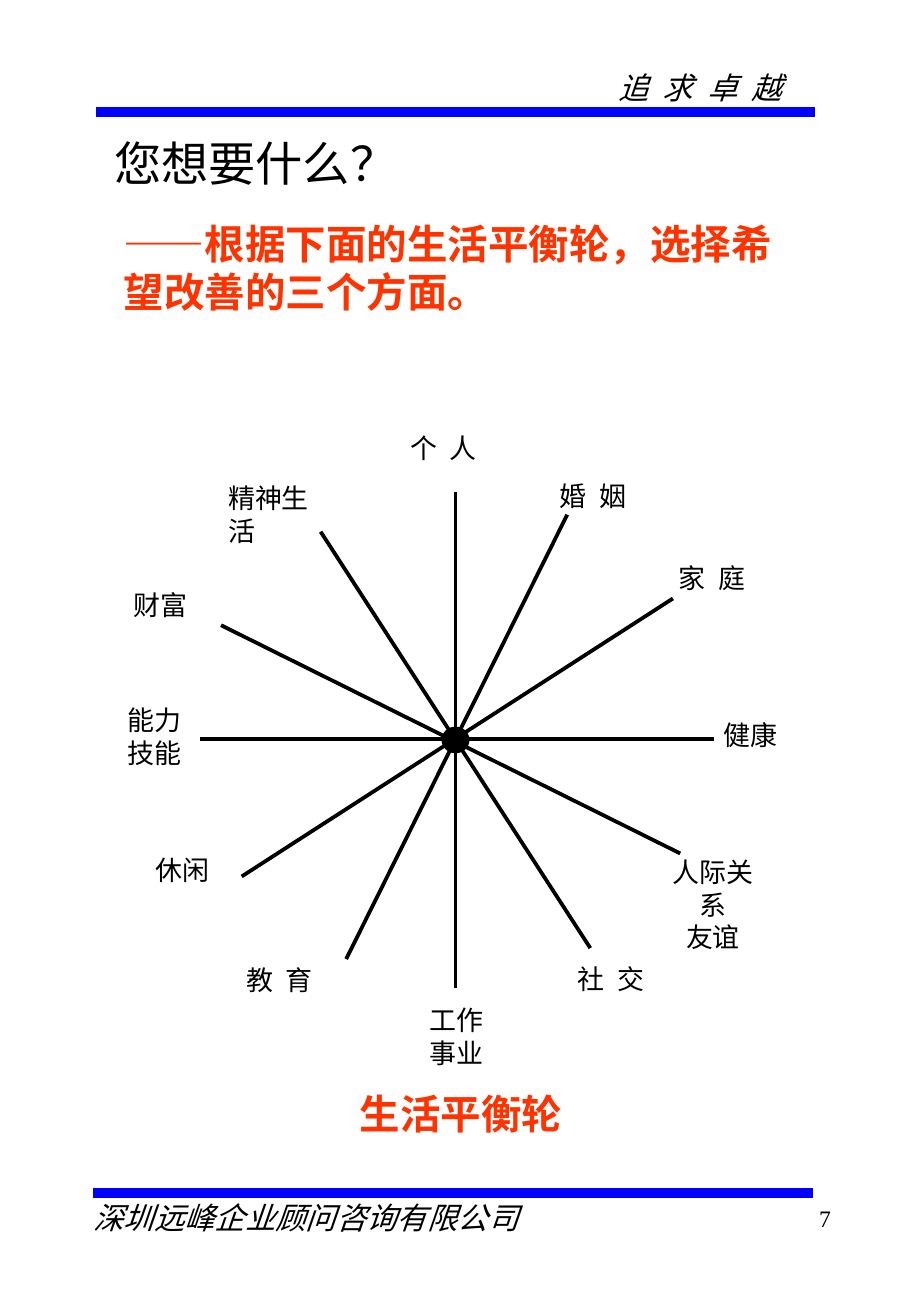
import pptx
import pptx.util
import pptx.dml.color
import pptx.enum.shapes
import pptx.enum.text
import pptx.oxml
import pptx.oxml.ns

PX = 9144  # one px is a hundredth of an inch
COLORS = {"ink": "000000", "bar": "0000FF", "key": "FF3300", "shade": "969696"}
SANS, SERIF = "Noto Sans CJK SC", "Times New Roman"
LEFT = pptx.enum.text.PP_ALIGN.LEFT
MID = pptx.enum.text.PP_ALIGN.CENTER
RIGHT = pptx.enum.text.PP_ALIGN.RIGHT
FIT = pptx.enum.text.MSO_AUTO_SIZE

SPOKES = [
    (375, 405, 375, 814), (165, 609, 588, 609), (264, 438, 486, 781),
    (182, 515, 560, 703), (199, 722, 554, 493), (285, 790, 467, 424),
]
LABELS = [  # text, left, top, width; clockwise from the top
    ("个 人", 328, 351, 86), ("婚 姻", 451, 390, 97),
    ("家 庭", 549, 458, 86), ("健康", 586, 587, 64),
    ("人际关系\n友谊", 533, 700, 108), ("社 交", 466, 788, 86),
    ("工作\n事业", 344, 822, 64), ("教 育", 193, 789, 86),
    ("休闲", 118, 698, 64), ("能力\n技能", 95, 575, 64),
    ("财富", 100, 480, 64), ("精神生活", 178, 392, 108),
]


def rgb(name):
    return pptx.dml.color.RGBColor.from_string(COLORS[name])


def node(tag, inner="", attrs=""):
    space = pptx.oxml.ns.nsdecls("a")
    return pptx.oxml.parse_xml(f"<a:{tag} {space} {attrs}>{inner}</a:{tag}>")


class Page:
    def __init__(self, wide, high):
        self.deck = pptx.Presentation()
        self.deck.slide_width = wide * PX
        self.deck.slide_height = high * PX
        self.slide = self.deck.slides.add_slide(self.deck.slide_layouts[1])
        self.shapes = self.slide.shapes

    def place(self, shape, box):
        shape.left, shape.top, shape.width, shape.height = [n * PX for n in box]

    def style(self, shape, text, size, face=SANS, color="ink", align=LEFT,
              wrap=False, bold=False, slant=False, gap=0, fit=FIT.SHAPE_TO_FIT_TEXT):
        """Fill a shape with styled text; gap is tracking in points."""
        frame = shape.text_frame
        frame.text = text
        frame.word_wrap = wrap
        frame.auto_size = fit
        frame.vertical_anchor = pptx.enum.text.MSO_ANCHOR.TOP
        for para in frame.paragraphs:
            para.alignment = align
            para.space_before = pptx.util.Pt(0)
            for run in para.runs:
                font = run.font
                font.size = pptx.util.Pt(size)
                font.bold, font.italic = bold, slant
                font.color.rgb = rgb(color)
                font.name = face
                props = run._r.get_or_add_rPr()
                latin = props.find(pptx.oxml.ns.qn("a:latin"))
                latin.addnext(node("ea", attrs=f'typeface="{SANS}"'))
                if gap:
                    props.set("spc", str(round(gap * 100)))

    def text(self, text, box, size, **style):
        shape = self.shapes.add_textbox(*[n * PX for n in box])
        self.style(shape, text, size, **style)

    def title(self, text, box, size):
        shape = self.shapes.title
        self.place(shape, box)
        self.style(shape, text, size, face=SERIF)
        para = shape.text_frame.paragraphs[0]
        para.line_spacing = 0.9
        props = para.runs[0]._r.get_or_add_rPr()
        shade = (f'<a:outerShdw dist="25400" dir="2700000">'
                 f'<a:srgbClr val="{COLORS["shade"]}"/></a:outerShdw>')
        latin = props.find(pptx.oxml.ns.qn("a:latin"))
        latin.addprevious(node("effectLst", shade))

    def body(self, text, box, size):
        shape = self.slide.placeholders[1]
        self.place(shape, box)
        self.style(shape, text, size, color="key", bold=True, wrap=True, fit=FIT.NONE)
        props = shape.text_frame.paragraphs[0]._p.get_or_add_pPr()
        props.set("marL", "0")
        props.set("indent", "0")
        props.append(node("buNone"))

    def line(self, ends, width, color="ink"):
        kind = pptx.enum.shapes.MSO_CONNECTOR.STRAIGHT
        line = self.shapes.add_connector(kind, *[n * PX for n in ends])
        line.line.width = pptx.util.Pt(width)
        line.line.color.rgb = rgb(color)
        line._element.spPr.append(node("effectLst"))

    def dot(self, box):
        kind = pptx.enum.shapes.MSO_SHAPE.OVAL
        dot = self.shapes.add_shape(kind, *[n * PX for n in box])
        dot.shadow.inherit = False
        dot.fill.solid()
        dot.fill.fore_color.rgb = rgb("ink")
        dot.line.color.rgb = rgb("ink")
        dot.line.width = pptx.util.Pt(0.75)


def main():
    page = Page(750, 1084)
    page.line((79, 92, 671, 92), 6, "bar")
    page.line((77, 983, 669, 983), 6, "bar")
    page.title("您想要什么？", (84, 111, 253, 52), 28)
    page.body("——根据下面的生活平衡轮，选择希望改善的三个方面。",
              (92, 175, 575, 90), 24)

    for ends in SPOKES:
        page.line(ends, 2.25)
    page.dot((364, 599, 22, 21))
    for text, left, top, wide in LABELS:
        high = 64 if "\n" in text else 37
        page.text(text, (left, top, wide, high), 16,
                  align=MID if "人际" in text else LEFT,
                  gap=2 if " " in text else 0)

    page.text("生活平衡轮", (92, 892, 575, 50), 24, color="key",
              bold=True, align=MID, wrap=True)
    page.text("深圳远峰企业顾问咨询有限公司", (67, 983, 370, 40), 18,
              face=SERIF, slant=True)
    page.text("追 求 卓 越", (499, 52, 195, 40), 18, face=SERIF,
              slant=True, gap=2.2)
    page.text("7", (538, 987, 156, 72), 14, face=SERIF, align=RIGHT,
              wrap=True, fit=FIT.NONE)
    page.deck.save("out.pptx")


if __name__ == "__main__":
    main()
